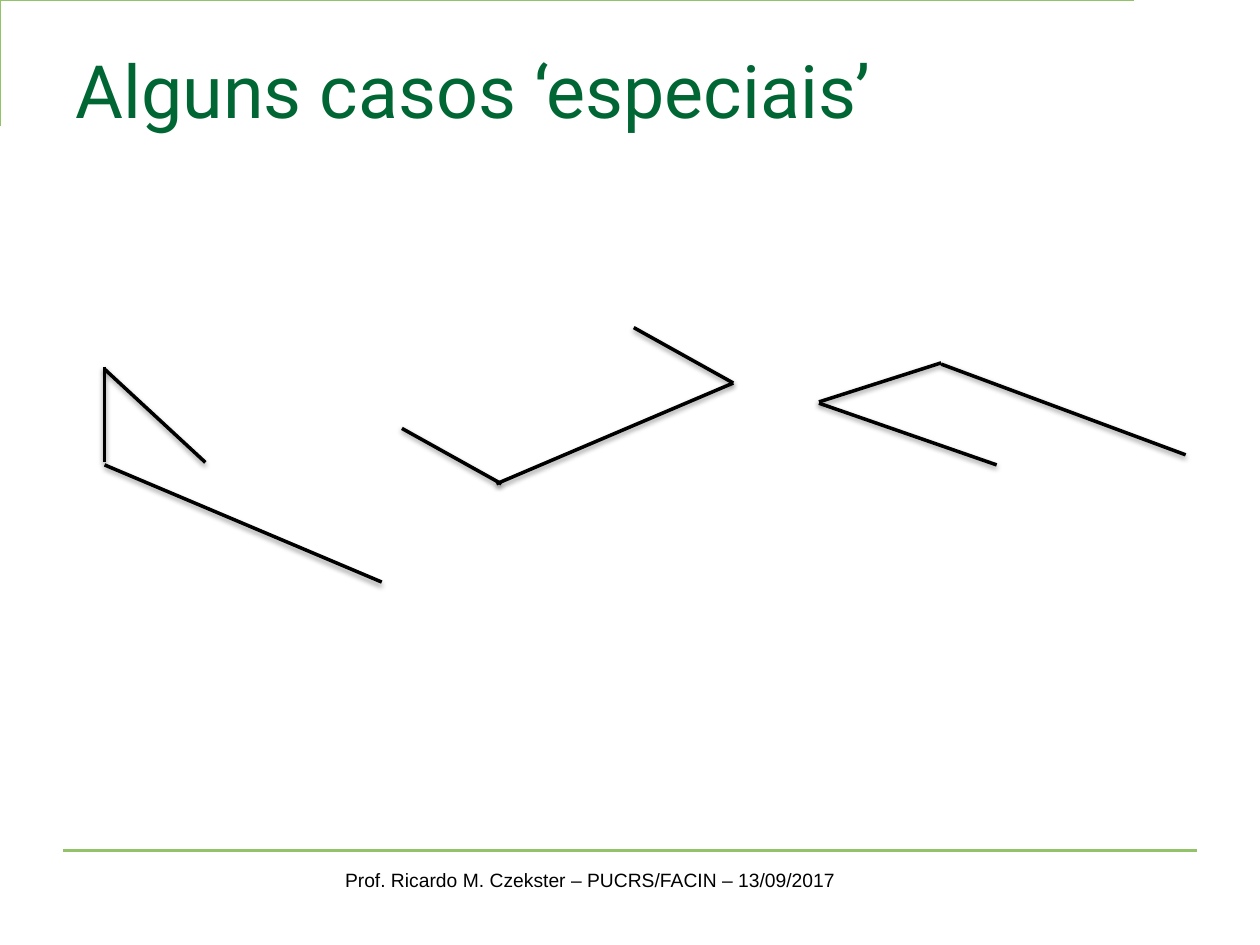
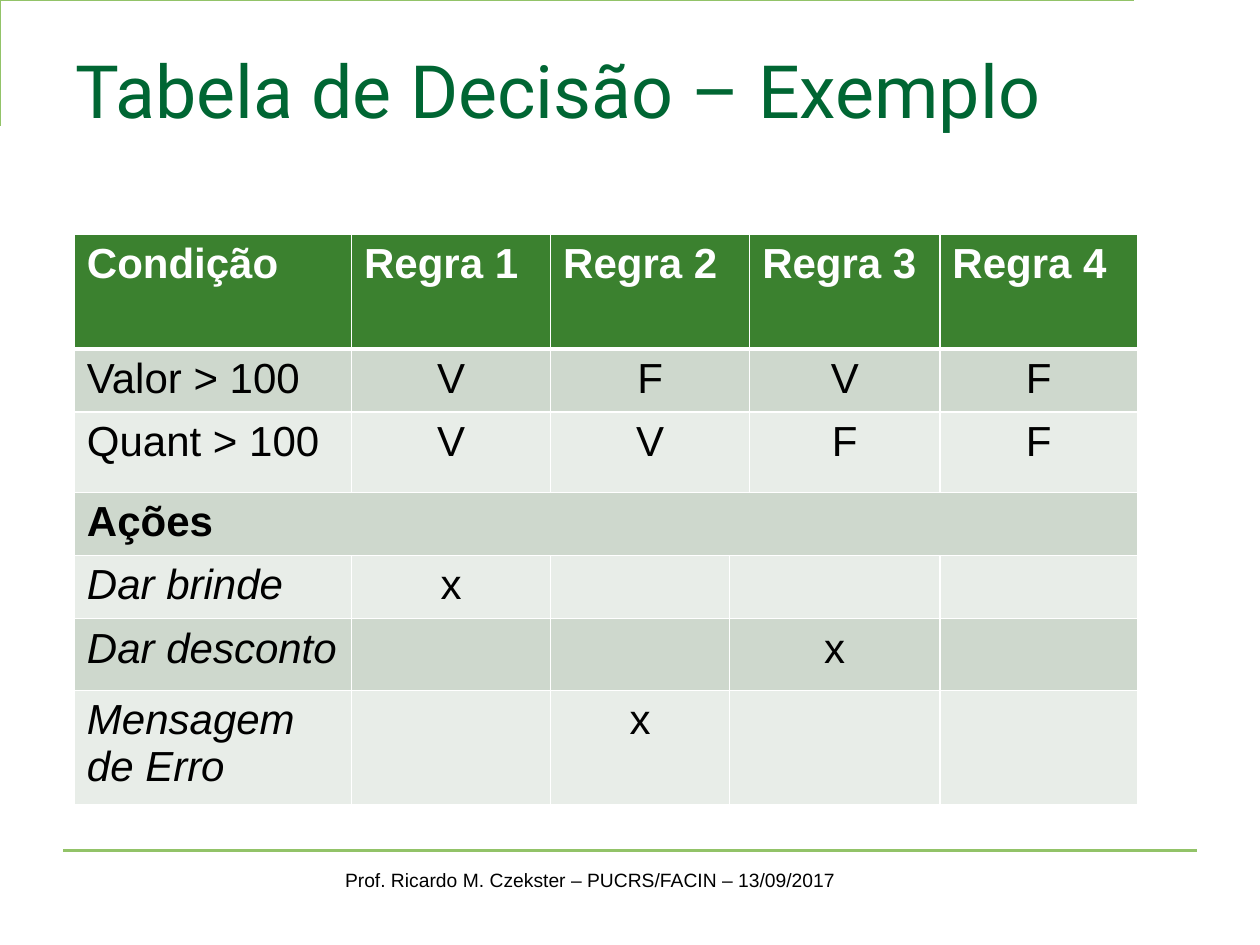
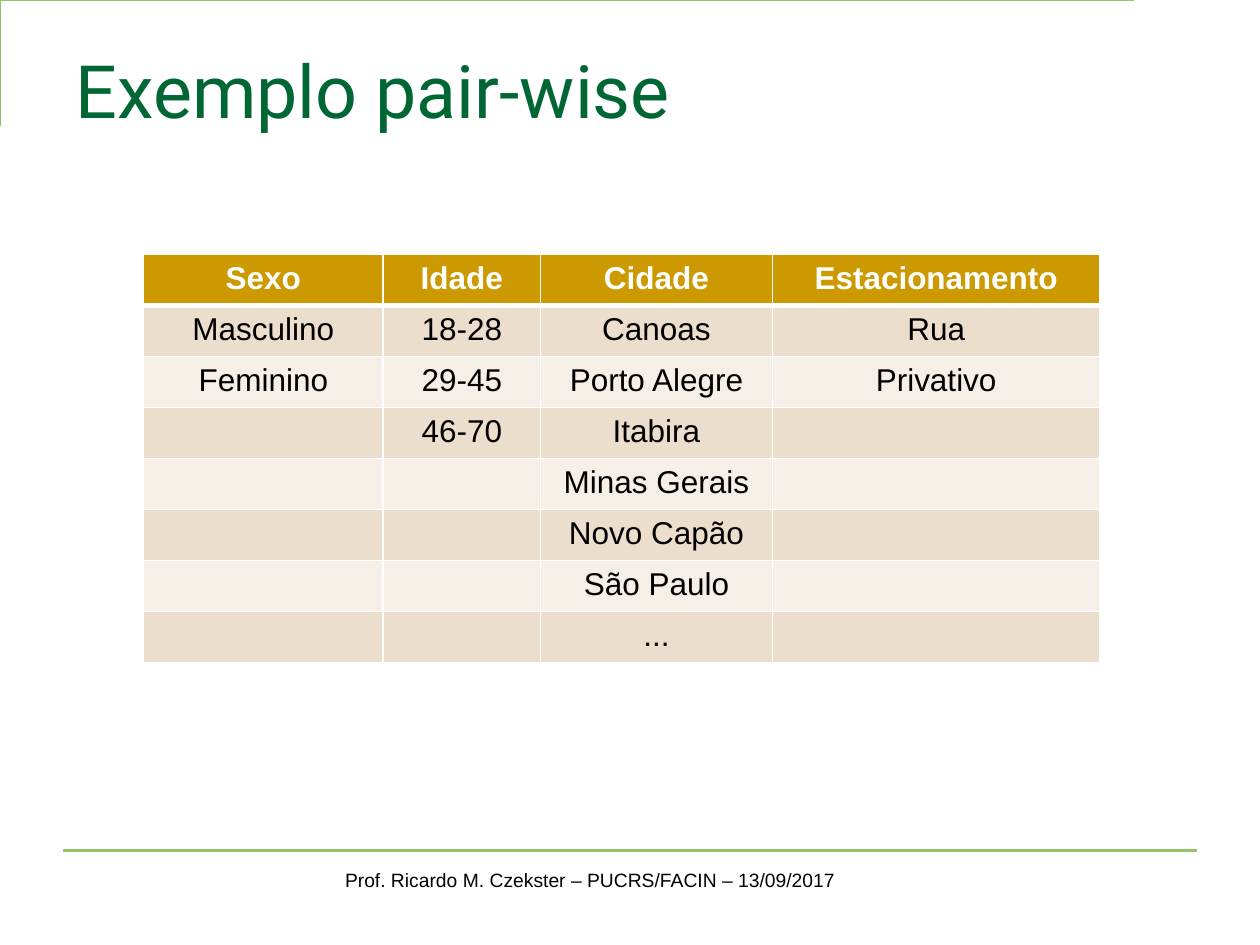
"""Builds three slides on software testing: special cases, a decision table and pair-wise values."""
from itertools import takewhile

from lxml import etree
from pptx import Presentation
from pptx import util as u
from pptx.dml.color import RGBColor
from pptx.enum import shapes, text
from pptx.oxml import parse_xml
from pptx.oxml.ns import nsdecls, qn

COLORS = {
    "title": "006633", "frame": "92C368", "ink": "000000", "white": "FFFFFF",
    "green": "3B812F", "green_dark": "CED8CD", "green_light": "E8EDE8",
    "gold": "CC9900", "gold_dark": "ECDECC", "gold_light": "F6EFE7",
}
FOOTER = "Prof. Ricardo M. Czekster – PUCRS/FACIN – 13/09/2017"
LEFT, CENTER = text.PP_ALIGN.LEFT, text.PP_ALIGN.CENTER


def write(frame, words, size, color="ink", font="Arial", align=LEFT, bold=False, italic=False):
    paragraph = frame.paragraphs[0]
    paragraph.alignment = align
    paragraph.font.size = u.Pt(size)
    if words:
        run = paragraph.add_run()
        run.text = words
        run.font.size = u.Pt(size)
        run.font.name = font
        run.font.bold = bold
        run.font.italic = italic
        run.font.color.rgb = RGBColor.from_string(COLORS[color])


def draw_line(target, start, end, color, width, shadow=False):
    line = target.add_connector(shapes.MSO_CONNECTOR.STRAIGHT, *map(u.Inches, start + end))
    line.line.color.rgb = RGBColor.from_string(COLORS[color])
    line.line.width = u.Pt(width)
    effects = etree.SubElement(line._element.spPr, qn("a:effectLst"))
    if shadow:
        effects.append(parse_xml(
            f'<a:outerShdw {nsdecls("a")} blurRad="{u.Pt(3.1)}" dist="{u.Pt(1.6)}" dir="5400000"'
            f' rotWithShape="0"><a:srgbClr val="{COLORS["ink"]}"><a:alpha val="38000"/>'
            '</a:srgbClr></a:outerShdw>'))


deck = Presentation()
deck.slide_width, deck.slide_height = u.Inches(10), u.Inches(7.5)

slides = []
for heading in ("Alguns casos ‘especiais’", "Tabela de Decisão – Exemplo", "Exemplo pair-wise"):
    slide = deck.slides.add_slide(deck.slide_layouts[5])
    slides.append(slide)

    corner = slide.shapes.build_freeform(0.42, 0.92, scale=u.Inches(1))
    corner.add_line_segments([(0.42, 0.25), (9.42, 0.25)], close=False)
    bracket = corner.convert_to_shape()
    bracket.fill.background()
    bracket.line.color.rgb = RGBColor.from_string(COLORS["frame"])
    bracket.line.width = u.Pt(1.5)
    bracket.shadow.inherit = False

    draw_line(slide.shapes, (0.5, 6.75), (9.5, 6.75), "frame", 1.5)
    footer = slide.shapes.add_textbox(*map(u.Inches, (2.64, 6.84, 4.13, 0.29))).text_frame
    footer.word_wrap = False
    write(footer, FOOTER, 11)

    title = slide.shapes.title
    title.left, title.top, title.width, title.height = map(u.Inches, (0.5, 0.31, 8.95, 1.25))
    title.text_frame.vertical_anchor = text.MSO_ANCHOR.TOP
    title.text_frame.auto_size = text.MSO_AUTO_SIZE.NONE
    write(title.text_frame, heading, 42, color="title", font="Roboto")

special_cases = [
    [((0.83, 2.91), (0.83, 3.67)), ((0.83, 2.93), (1.63, 3.67)), ((0.83, 3.69), (3.03, 4.62))],
    [((3.19, 3.4), (3.98, 3.84)), ((5.03, 2.6), (5.82, 3.04)), ((3.94, 3.84), (5.82, 3.04))],
    [((6.5, 3.2), (7.91, 3.69)), ((7.47, 2.89), (9.41, 3.61)), ((6.5, 3.19), (7.47, 2.88))],
]
for case in special_cases:
    group = slides[0].shapes.add_group_shape()
    for start, end in case:
        draw_line(group.shapes, start, end, "ink", 2, shadow=True)

decision_rows = [
    ["Condição", "Regra 1", "Regra 2", None, "Regra 3", "Regra 4"],
    ["Valor > 100", "V", "F", None, "V", "F"],
    ["Quant > 100", "V", "V", None, "F", "F"],
    ["Ações", None, None, None, None, None],
    ["Dar brinde", "x", "", "", None, ""],
    ["Dar desconto", "", "", "x", None, ""],
    ["Mensagem de Erro", "", "x", "", None, ""],
]
pairwise_rows = [
    ["Sexo", "Idade", "Cidade", "Estacionamento"],
    ["Masculino", "18-28", "Canoas", "Rua"],
    ["Feminino", "29-45", "Porto Alegre", "Privativo"],
    ["", "46-70", "Itabira", ""],
    ["", "", "Minas Gerais", ""],
    ["", "", "Novo Capão", ""],
    ["", "", "São Paulo", ""],
    ["", "", "...", ""],
]
tables = [
    (slides[1], decision_rows, (0.59, 1.86), [2.2, 1.58, 1.42, 0.16, 1.51, 1.57],
     [0.91, 0.5, 0.64, 0.5, 0.5, 0.57, 0.91], "green", 24),
    (slides[2], pairwise_rows, (1.14, 2.02), [1.9, 1.25, 1.84, 2.6],
     [0.405] * len(pairwise_rows), "gold", 18),
]
for slide, rows, corner, widths, heights, hue, size in tables:
    table = slide.shapes.add_table(
        len(rows), len(widths), *map(u.Inches, corner + (sum(widths), sum(heights)))).table
    for column, width in zip(table.columns, widths):
        column.width = u.Inches(width)
    for r, (words_in_row, height) in enumerate(zip(rows, heights)):
        table.rows[r].height = u.Inches(height)
        shade = hue if r == 0 else hue + ("_dark" if r % 2 else "_light")
        for c, words in enumerate(words_in_row):
            cell = table.cell(r, c)
            properties = cell._tc.get_or_add_tcPr()
            for side in "LRTB":
                thick = (r, side) in ((0, "B"), (1, "T"))
                properties.append(parse_xml(
                    f'<a:ln{side} {nsdecls("a")} w="{u.Pt(3 if thick else 1)}"><a:solidFill>'
                    f'<a:srgbClr val="{COLORS["white"]}"/></a:solidFill></a:ln{side}>'))
            cell.fill.solid()
            cell.fill.fore_color.rgb = RGBColor.from_string(COLORS[shade])
            if words is None:
                continue
            label = rows is decision_rows and (r == 0 or c == 0)
            write(cell.text_frame, words, size, color="ink" if r else "white",
                  align=LEFT if label else CENTER, bold=r == 0 or words == "Ações",
                  italic=label and r > 3)
            extra = len(list(takewhile(lambda word: word is None, words_in_row[c + 1:])))
            if extra:
                cell.merge(table.cell(r, c + extra))

deck.save("out.pptx")
